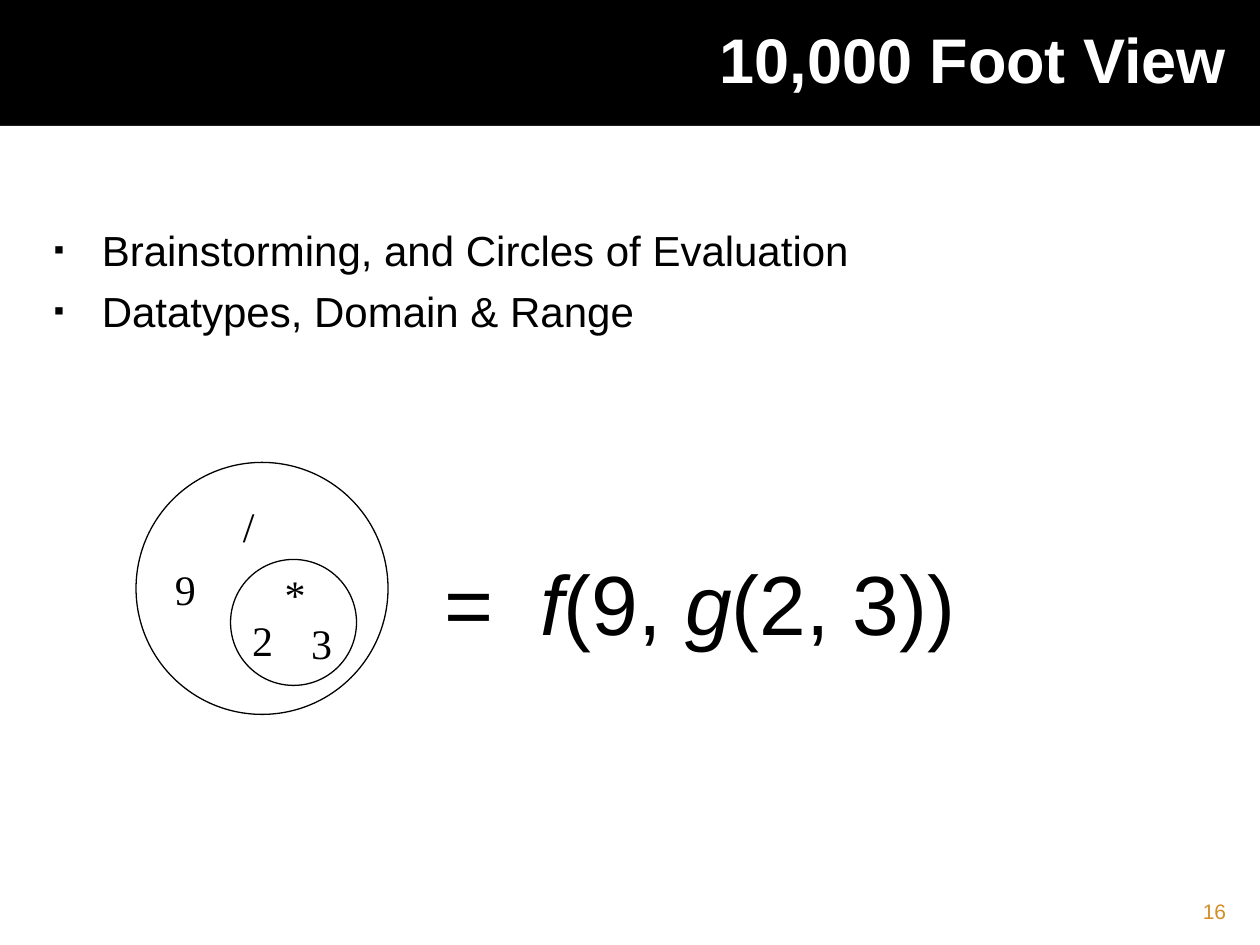
import pptx
import pptx.util
import pptx.dml.color
import pptx.enum.shapes
import pptx.enum.text
import lxml.etree
from pptx.oxml.ns import qn

Inches = pptx.util.Inches
Pt = pptx.util.Pt
SHAPE = pptx.enum.shapes.MSO_SHAPE
ALIGN = pptx.enum.text.PP_ALIGN
ANCHOR = pptx.enum.text.MSO_ANCHOR
BLACK, WHITE, GOLD = "000000", "FFFFFF", "D38E27"


def color(value):
    return pptx.dml.color.RGBColor.from_string(value)


def style(font, size, name="Arial", ink=BLACK, bold=False, italic=False):
    font.size, font.name, font.bold, font.italic = Pt(size), name, bold, italic
    font.color.rgb = color(ink)


def add_shape(page, kind, left, top, width, height, line=None):
    shape = page.shapes.add_shape(
        kind, Inches(left), Inches(top), Inches(width), Inches(height))
    shape.shadow.inherit = False
    shape.fill.solid()
    shape.fill.fore_color.rgb = color(WHITE)
    if line:
        shape.line.color.rgb = color(line)
        shape.line.width = Pt(0.75)
    else:
        shape.line.fill.background()
    return shape


def add_text(page, left, top, width, height, text="", inset=True, align=ALIGN.LEFT,
             **look):
    box = page.shapes.add_textbox(
        Inches(left), Inches(top), Inches(width), Inches(height))
    frame = box.text_frame
    frame.word_wrap = True
    if not inset:
        frame.margin_left = frame.margin_right = 0
        frame.margin_top = frame.margin_bottom = 0
    frame.text = text
    para = frame.paragraphs[0]
    para.alignment = align
    for span in para.runs:
        style(span.font, **look)
    return frame


def add_title(page, left, top, width, height):
    frame = add_text(page, left, top, width, height, "10,000 Foot View",
                     align=ALIGN.RIGHT, size=36, ink=WHITE, bold=True)
    frame.vertical_anchor = ANCHOR.MIDDLE


def add_bullet(para):
    props = para._p.get_or_add_pPr()
    props.set("marL", str(Inches(0.38)))
    props.set("indent", str(-Inches(0.38)))
    ink = lxml.etree.SubElement(props, qn("a:buClr"))
    lxml.etree.SubElement(ink, qn("a:srgbClr"), val=BLACK)
    lxml.etree.SubElement(props, qn("a:buSzPct"), val="70000")
    lxml.etree.SubElement(props, qn("a:buFont"), typeface="Arial")
    lxml.etree.SubElement(props, qn("a:buChar"), char="▪")


def add_topics(page, left, top, width, height):
    topics = ["Brainstorming, and Circles of Evaluation",
              "Datatypes, Domain & Range"]
    frame = add_text(page, left, top, width, height)
    frame.text = "\n".join(topics)
    for index, para in enumerate(frame.paragraphs):
        add_bullet(para)
        if index:
            para.space_before = Pt(6)
        style(para.runs[0].font, 24)


def add_evaluation_circles(page, left, top, size):
    """Nested circles, each holding an operator above its operands."""
    add_shape(page, SHAPE.OVAL, left, top, size, size, BLACK)
    add_shape(page, SHAPE.OVAL, left + 0.75, top + 0.77, size / 2, size / 2, BLACK)
    labels = [("/", 0.75, 0.25, 0.5, True), ("9", 0.21, 0.75, 0.54, True),
              ("*", 1.18, 0.84, 0.32, False), ("2", 0.92, 1.21, 0.32, False),
              ("3", 1.39, 1.23, 0.32, False)]
    for text, across, down, width, inset in labels:
        add_text(page, left + across, top + down, width, 0.45, text, inset,
                 size=24, name="Times New Roman")


def add_equation(page, left, top, width, height):
    para = add_text(page, left, top, width, height).paragraphs[0]
    stops = lxml.etree.SubElement(para._p.get_or_add_pPr(), qn("a:tabLst"))
    lxml.etree.SubElement(stops, qn("a:tab"), pos=str(Inches(0.76)), algn="l")
    for text in ("=\t", "f", "(9, ", "g", "(2, 3))"):
        span = para.add_run()
        span.text = text
        style(span.font, 48, italic=text in ("f", "g"))


def main():
    deck = pptx.Presentation()
    deck.slide_width, deck.slide_height = Inches(10), Inches(7.5)
    page = deck.slides.add_slide(deck.slide_layouts[6])
    page.background.fill.solid()
    page.background.fill.fore_color.rgb = color(BLACK)
    add_shape(page, SHAPE.RECTANGLE, 0, 1, 10, 6.5)
    add_title(page, 0.33, 0, 9.5, 0.92)
    add_topics(page, 0.33, 1.73, 9.5, 4.95)
    add_evaluation_circles(page, 1.08, 3.67, 2)
    add_equation(page, 3.43, 4.33, 4.49, 0.91)
    add_text(page, 9, 7.08, 0.83, 0.27, "16", align=ALIGN.RIGHT, size=12, ink=GOLD)
    deck.save("out.pptx")


if __name__ == "__main__":
    main()
